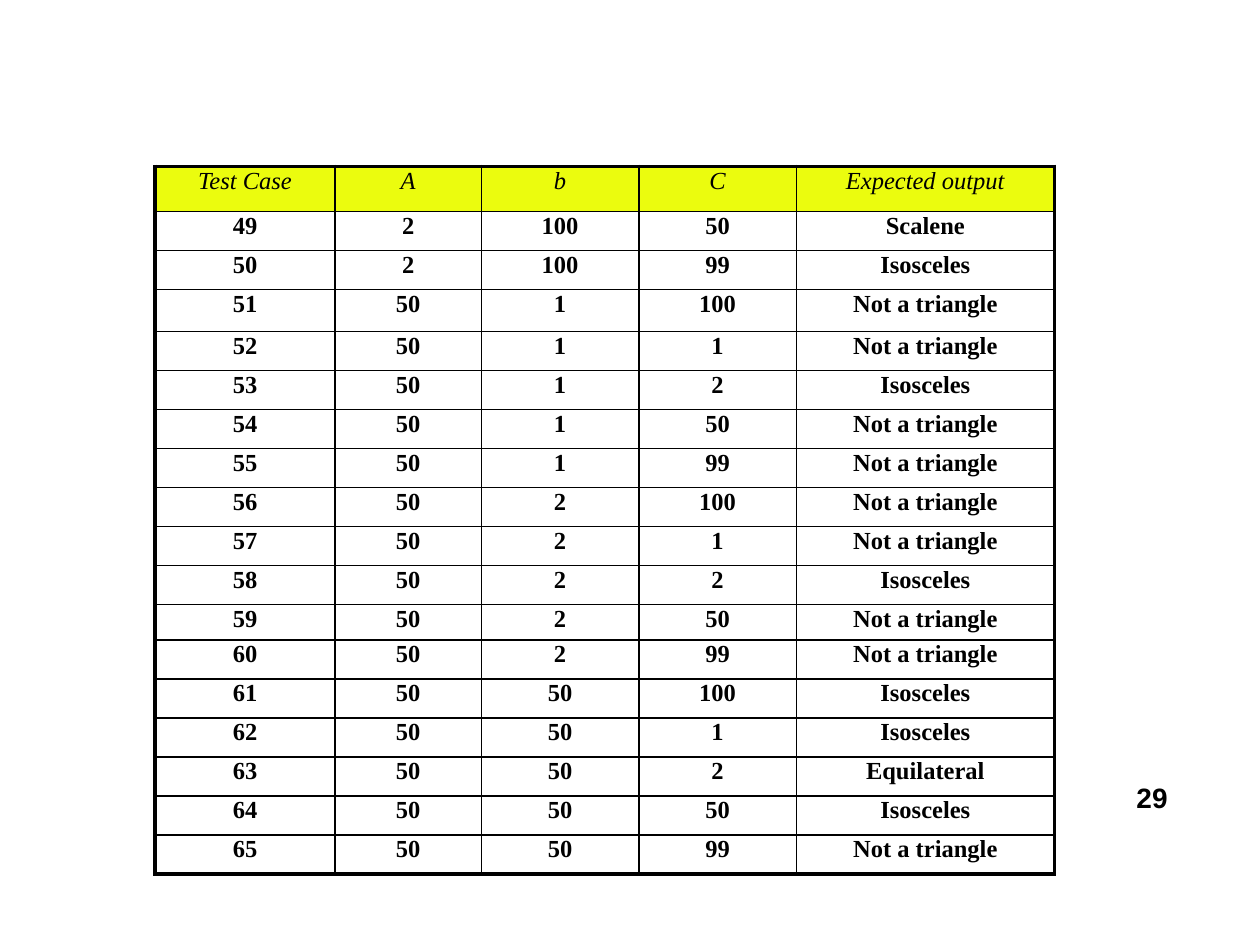
"""Build the slide of triangle test cases 49 to 65."""
from dataclasses import dataclass

from lxml.etree import SubElement
from pptx import Presentation
from pptx.dml.color import RGBColor
from pptx.enum.text import PP_ALIGN
from pptx.oxml.ns import qn
from pptx.util import Inches, Pt


@dataclass(frozen=True)
class Theme:
    ink: str = "000000"
    header: str = "EBFC0E"
    table_font: str = "Times New Roman"
    number_font: str = "Arial"
    table_size: int = 14
    number_size: int = 16
    thin: float = 1
    thick: float = 2.25


theme = Theme()


def set_font(paragraph, name, size, bold, italic=False):
    font = paragraph.font
    font.name, font.size = name, Pt(size)
    font.bold, font.italic = bold, italic
    font.color.rgb = RGBColor.from_string(theme.ink)


def add_border(cell, side, weight):
    line = SubElement(cell._tc.get_or_add_tcPr(), qn(f"a:ln{side}"), w=str(Pt(weight)))
    SubElement(SubElement(line, qn("a:solidFill")), qn("a:srgbClr"), val=theme.ink)


headings = ("Test Case", "A", "b", "C", "Expected output")
outcomes = (
    (2, 100, 50, "Scalene"),
    (2, 100, 99, "Isosceles"),
    (50, 1, 100, "Not a triangle"),
    (50, 1, 1, "Not a triangle"),
    (50, 1, 2, "Isosceles"),
    (50, 1, 50, "Not a triangle"),
    (50, 1, 99, "Not a triangle"),
    (50, 2, 100, "Not a triangle"),
    (50, 2, 1, "Not a triangle"),
    (50, 2, 2, "Isosceles"),
    (50, 2, 50, "Not a triangle"),
    (50, 2, 99, "Not a triangle"),
    (50, 50, 100, "Isosceles"),
    (50, 50, 1, "Isosceles"),
    (50, 50, 2, "Equilateral"),
    (50, 50, 50, "Isosceles"),
    (50, 50, 99, "Not a triangle"),
)
test_cases = [headings] + [(case, *outcome) for case, outcome in enumerate(outcomes, 49)]
column_widths = (1.43, 1.16, 1.25, 1.25, 2.05)
row_height = 0.31
special_heights = {0: 0.36, 3: 0.33, 11: 0.28}
row_heights = [special_heights.get(row, row_height) for row in range(len(test_cases))]
last_row, last_column = len(test_cases) - 1, len(headings) - 1

deck = Presentation()
deck.slide_width, deck.slide_height = Inches(10), Inches(7.5)
slide = deck.slides.add_slide(deck.slide_layouts[6])

table = slide.shapes.add_table(
    len(test_cases), len(headings), Inches(1.23), Inches(1.32),
    Inches(sum(column_widths)), Inches(sum(row_heights)),
).table
table.horz_banding = False
for column, width in zip(table.columns, column_widths):
    column.width = Inches(width)

for row, (values, height) in enumerate(zip(test_cases, row_heights)):
    table.rows[row].height = Inches(height)
    for column, value in enumerate(values):
        cell = table.cell(row, column)
        cell.margin_left = cell.margin_right = cell.margin_top = cell.margin_bottom = 0
        outer_edges = {"L": column == 0, "R": column == last_column,
                       "T": row == 0, "B": row == last_row}
        for side, outer in outer_edges.items():
            add_border(cell, side, theme.thick if outer else theme.thin)
        if row == 0:
            cell.fill.solid()
            cell.fill.fore_color.rgb = RGBColor.from_string(theme.header)
        else:
            cell.fill.background()
        cell.text = str(value)
        entry = cell.text_frame.paragraphs[0]
        entry.alignment, entry.line_spacing = PP_ALIGN.CENTER, 1.04
        set_font(entry, theme.table_font, theme.table_size, bold=row > 0, italic=row == 0)

page_number = slide.shapes.add_textbox(
    Inches(8.98), Inches(6.15), Inches(0.33), Inches(0.28)).text_frame
page_number.word_wrap = True
page_number.margin_left = Inches(0.04)
page_number.margin_right = page_number.margin_top = page_number.margin_bottom = 0
page_number.text = "29"
page_number.paragraphs[0].line_spacing = 1.17
set_font(page_number.paragraphs[0], theme.number_font, theme.number_size, bold=True)

deck.save("out.pptx")
